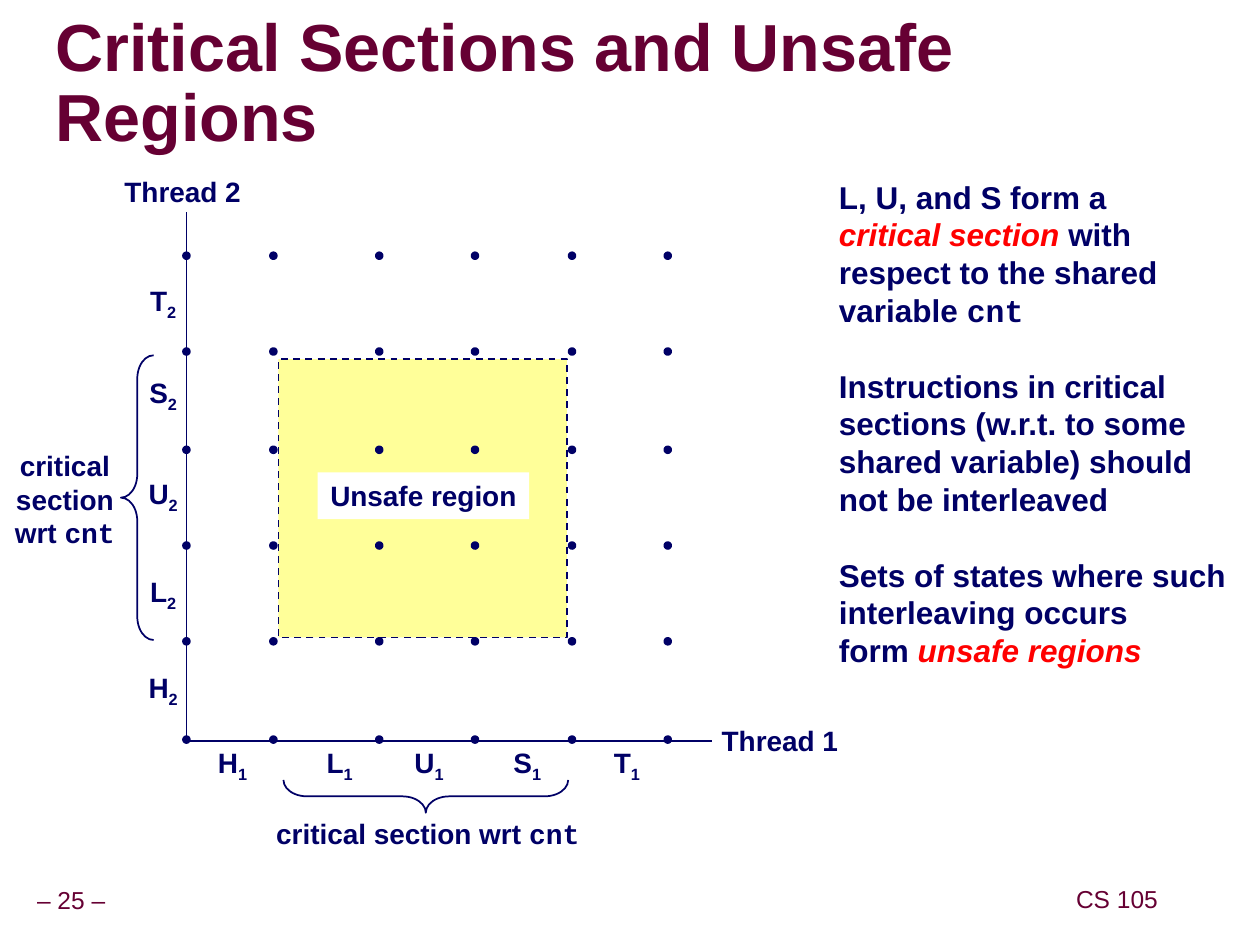
from lxml.etree import SubElement
from pptx import Presentation
from pptx.dml.color import RGBColor
from pptx.enum.dml import MSO_LINE
from pptx.enum.shapes import MSO_CONNECTOR, MSO_SHAPE
from pptx.enum.text import MSO_ANCHOR, MSO_AUTO_SIZE, PP_ALIGN
from pptx.oxml.ns import qn
from pptx.util import Inches, Pt

NAVY, MAROON, RED = "000066", "660033", "FF0000"
YELLOW, WHITE = "FFFF99", "FFFFFF"
SANS, MONO = "Arial", "Courier New"

# Run variants: each overrides the base format of its text box
EMPHASIS = {"color": RED, "italic": True}
CODE = {"name": MONO}
CNT = ("cnt", CODE)

STATE_X = [1.48, 2.17, 3.01, 3.77, 4.54, 5.30]
STATE_Y = [2.03, 2.79, 3.57, 4.33, 5.09, 5.87]
STEPS = "HLUST"
STEP_X = [1.63, 2.48, 3.19, 3.97, 4.76]
STEP_Y = [5.27, 4.51, 3.73, 2.93, 2.20]

# Each block is a list of lines, each line a list of (text, variant)
NOTES = [
    [[("L, U, and S form a", {})],
     [("critical section ", EMPHASIS), ("with", {})],
     [("respect to the shared", {})],
     [("variable ", {}), CNT]],
    [[("Instructions in critical", {})],
     [("sections (w.r.t. to some", {})],
     [("shared variable) should", {})],
     [("not be interleaved", {})]],
    [[("Sets of states where such", {})],
     [("interleaving occurs", {})],
     [("form ", {}), ("unsafe regions", EMPHASIS)]],
]


def rgb(color):
    return RGBColor.from_string(color)


def add_runs(paragraph, runs, base):
    for text, variant in runs:
        run = paragraph.add_run()
        run.text = text
        for key, value in {**base, **variant}.items():
            if key == "color":
                run.font.color.rgb = rgb(value)
            elif key == "baseline":
                run.font._element.set("baseline", str(value))
            else:
                setattr(run.font, key, value)


def set_frame(frame, wrap=False, margins=(0.1, 0.05), anchor=MSO_ANCHOR.MIDDLE):
    side, end = (Inches(margin) for margin in margins)
    fit = MSO_AUTO_SIZE.NONE if wrap else MSO_AUTO_SIZE.SHAPE_TO_FIT_TEXT
    settings = {"word_wrap": wrap, "auto_size": fit, "vertical_anchor": anchor,
                "margin_left": side, "margin_right": side,
                "margin_top": end, "margin_bottom": end}
    for key, value in settings.items():
        setattr(frame, key, value)


def add_text(slide, box, runs, size=16, color=NAVY, bold=True,
             align=PP_ALIGN.CENTER, spacing=None, **frame_settings):
    shape = slide.shapes.add_textbox(*map(Inches, box))
    set_frame(shape.text_frame, **frame_settings)
    paragraph = shape.text_frame.paragraphs[0]
    paragraph.alignment = align
    paragraph.line_spacing = spacing
    base = {"name": SANS, "size": Pt(size), "bold": bold, "color": color}
    add_runs(paragraph, runs, base)


def add_notes(slide, box):
    frame = slide.shapes.add_textbox(*map(Inches, box)).text_frame
    set_frame(frame, wrap=True, margins=(0.1, 0), anchor=MSO_ANCHOR.TOP)
    base = {"name": SANS, "size": Pt(18), "bold": True, "color": NAVY}
    paragraph = None
    for block in NOTES:
        for number, line in enumerate(block):
            first = paragraph is None
            paragraph = frame.paragraphs[0] if first else frame.add_paragraph()
            if number == 0 and not first:
                paragraph.space_before = Pt(21.6)
            add_runs(paragraph, line, base)


def add_shape(slide, kind, box, fill=None, line=None, width=1, dash=None):
    shape = slide.shapes.add_shape(kind, *map(Inches, box))
    shape.shadow.inherit = False
    if fill:
        shape.fill.solid()
        shape.fill.fore_color.rgb = rgb(fill)
    else:
        shape.fill.background()
    if line:
        shape.line.color.rgb = rgb(line)
        shape.line.width = Pt(width)
        shape.line.dash_style = dash
    else:
        shape.line.fill.background()
    return shape


def add_axis(slide, *ends):
    axis = slide.shapes.add_connector(MSO_CONNECTOR.STRAIGHT, *map(Inches, ends))
    axis.line.color.rgb = rgb(NAVY)
    axis.line.width = Pt(1)
    SubElement(axis._element.spPr, qn("a:effectLst"))


def add_state(slide, x, y):
    size = 0.04
    box = (x - size / 2, y - size / 2, size, size)
    add_shape(slide, MSO_SHAPE.OVAL, box, NAVY, NAVY, 2)


def add_step(slide, left, top, letter, thread):
    runs = [(letter, {}), (thread, {"baseline": -25000})]
    add_text(slide, (left, top, 0.43, 0.41), runs)


def add_brace(slide, left, top, rotation=0):
    brace = add_shape(slide, MSO_SHAPE.LEFT_BRACE, (left, top, 0.26, 2.26), line=NAVY)
    brace.adjustments[0] = 0.72
    brace.rotation = rotation


def main():
    presentation = Presentation()
    presentation.slide_width, presentation.slide_height = Inches(10), Inches(7.5)
    slide = presentation.slides.add_slide(presentation.slide_layouts[6])

    # Footer, title and notes
    for box, text in [((-0.09, 7, 1.31, 0.31), "– 25 –"),
                      ((8.46, 6.99, 0.81, 0.31), "CS 105")]:
        add_text(slide, box, [(text, {})], 14, MAROON, bold=False,
                 spacing=0.9, margins=(0.05, 0.05))
    add_text(slide, (0.44, 0.27, 7.81, 0.82),
             [("Critical Sections and Unsafe Regions", {})], 38, MAROON,
             align=PP_ALIGN.LEFT, spacing=0.87, wrap=True, margins=(0, 0))
    add_notes(slide, (6.56, 1.41, 3.35, 4.2))

    # Unsafe region and axes
    add_shape(slide, MSO_SHAPE.RECTANGLE, (2.21, 2.85, 2.29, 2.21),
              YELLOW, NAVY, dash=MSO_LINE.DASH)
    add_axis(slide, 1.48, 5.88, 5.65, 5.88)
    add_axis(slide, 1.48, 5.88, 1.48, 1.68)
    add_text(slide, (5.6, 5.69, 1.18, 0.37), [("Thread 1", {})])
    add_text(slide, (0.86, 1.33, 1.18, 0.37), [("Thread 2", {})])

    # Steps along each axis and the grid of states
    for letter, left, top in zip(STEPS, STEP_X, STEP_Y):
        add_step(slide, left, 5.86, letter, "1")
        add_step(slide, 1.08, top, letter, "2")
    for y in STATE_Y:
        for x in STATE_X:
            add_state(slide, x, y)

    # Region label
    label_box = (2.52, 3.75, 1.68, 0.37)
    add_shape(slide, MSO_SHAPE.RECTANGLE, label_box, WHITE)
    add_text(slide, label_box, [("Unsafe region", {})])

    # Critical section braces and their labels
    add_brace(slide, 0.96, 2.82)
    add_brace(slide, 3.25, 5.19, 270)
    label = [("critical section wrt ", {}), CNT]
    add_text(slide, (2.09, 6.43, 2.61, 0.37), label)
    add_text(slide, (0, 3.51, 1.03, 0.9), label, wrap=True)

    presentation.save("out.pptx")


if __name__ == "__main__":
    main()
